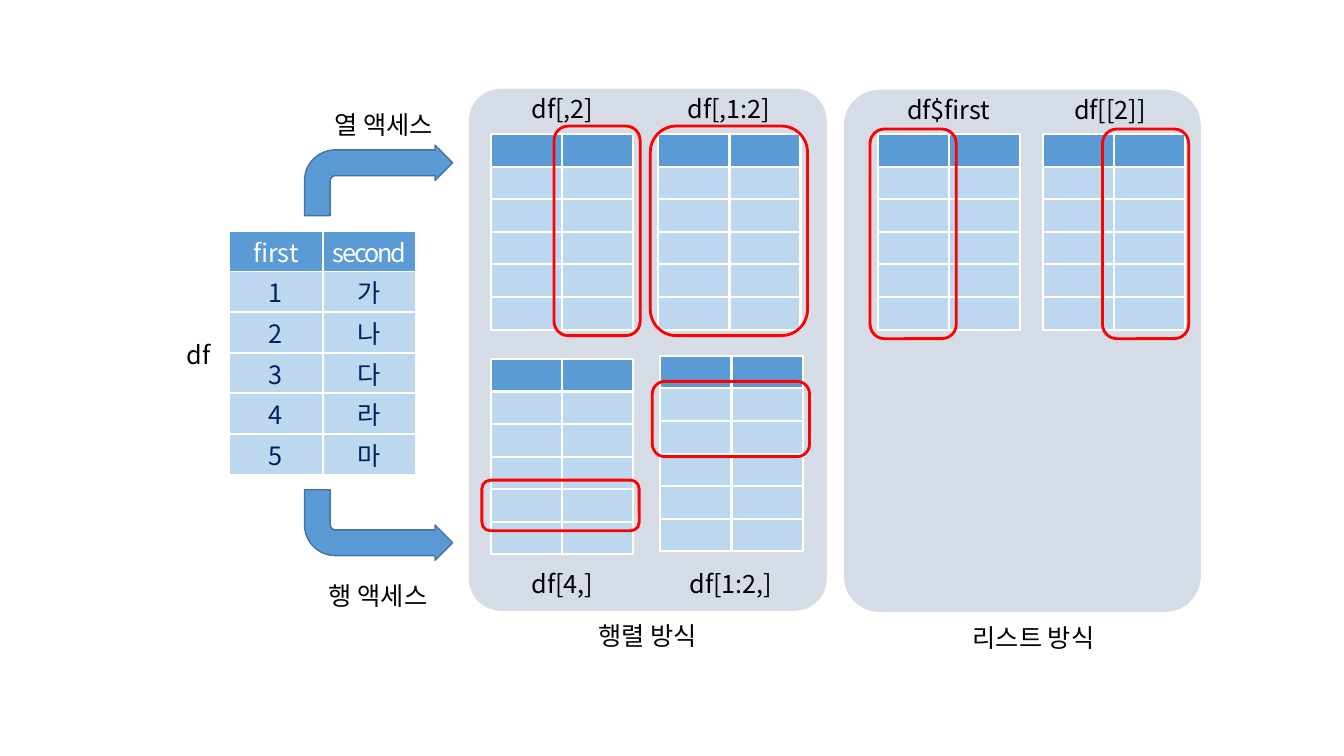
from dataclasses import dataclass

from lxml import etree
from pptx import Presentation
from pptx.dml.color import RGBColor
from pptx.enum import shapes, text
from pptx.oxml.ns import qn
from pptx.util import Inches, Pt


@dataclass(frozen=True)
class Theme:
    font: str = "Noto Sans CJK KR"
    size: float = 18
    header: str = "5B9BD5"
    body: str = "BDD7EE"
    arrow_line: str = "43739E"
    panel: str = "D6DCE5"
    highlight: str = "FF0000"
    white: str = "FFFFFF"
    navy: str = "002060"
    black: str = "000000"
    grid_line: float = 1.5
    highlight_line: float = 2


@dataclass(frozen=True)
class View:
    """One small grid: its offset in the panel and the cells it selects."""
    label: str
    left: float
    top: float
    label_top: float
    columns: tuple
    rows: tuple
    pads: tuple  # left, above, right and below the selected cells
    label_inset: float = 0.13


THEME = Theme()
GRID_WIDTH, GRID_HEIGHT = 1.41, 1.94
GRID_COLUMNS, GRID_ROWS = 2, 6
BOTH, ALL = (0, 2), (0, 6)

DATA = [("first", "second"), ("1", "가"), ("2", "나"), ("3", "다"), ("4", "라"), ("5", "마")]

MATRIX_VIEWS = [
    View("df[,2]", 0.22, 0.45, 0, (1, 2), ALL, (0.08, 0.08, 0.07, 0.06), 0.14),
    View("df[4,]", 0.22, 2.68, 4.71, BOTH, (4, 5), (0.09, 0.09, 0.06, 0.09), 0.14),
    View("df[,1:2]", 1.88, 0.45, 0, BOTH, ALL, (0.08, 0.08, 0.07, 0.06)),
    View("df[1:2,]", 1.9, 2.65, 4.71, BOTH, (1, 3), (0.08, 0.07, 0.07, 0.03)),
]
LIST_VIEWS = [
    View("df$first", 0.34, 0.44, 0, (0, 1), ALL, (0.08, 0.05, 0.07, 0.09)),
    View("df[[2]]", 1.97, 0.44, 0, (1, 2), ALL, (0.11, 0.05, 0.04, 0.09), 0.1),
]


def write(frame, content, color=THEME.black, spacing=None):
    paragraph = frame.paragraphs[0]
    paragraph.alignment = text.PP_ALIGN.CENTER
    run = paragraph.add_run()
    run.text = content
    run.font.size = Pt(THEME.size)
    run.font.color.rgb = RGBColor.from_string(color)
    run.font.name = THEME.font
    properties = run._r.get_or_add_rPr()
    etree.SubElement(properties, qn("a:ea"), typeface=THEME.font)
    if spacing is not None:
        properties.set("spc", str(round(spacing * 100)))


def add_label(parent, content, left, top, width):
    box = parent.add_textbox(*map(Inches, (left, top, width, 0.4)))
    box.text_frame.word_wrap = True
    box.text_frame.auto_size = text.MSO_AUTO_SIZE.SHAPE_TO_FIT_TEXT
    write(box.text_frame, content)


def add_figure(parent, kind, box, fill=None, line=None, line_width=1, adjustments=()):
    shape = parent.add_shape(kind, *map(Inches, box))
    shape.shadow.inherit = False
    if fill:
        shape.fill.solid()
        shape.fill.fore_color.rgb = RGBColor.from_string(fill)
    else:
        shape.fill.background()
    if line:
        shape.line.color.rgb = RGBColor.from_string(line)
        shape.line.width = Pt(line_width)
    else:
        shape.line.fill.background()
    for index, value in enumerate(adjustments):
        shape.adjustments[index] = value
    return shape


def add_cell_borders(cell):
    properties = cell._tc.get_or_add_tcPr()
    for position, side in enumerate(("lnL", "lnR", "lnT", "lnB")):
        line = etree.Element(qn(f"a:{side}"), w=str(Pt(THEME.grid_line)))
        fill = etree.SubElement(line, qn("a:solidFill"))
        etree.SubElement(fill, qn("a:srgbClr"), val=THEME.white)
        properties.insert(position, line)


def add_data_table(slide, left, top, width, height):
    frame = slide.shapes.add_table(
        len(DATA), len(DATA[0]), *map(Inches, (left, top, width, height)))
    for row, values in enumerate(DATA):
        for column, value in enumerate(values):
            cell = frame.table.cell(row, column)
            cell.margin_top = cell.margin_bottom = 0
            cell.margin_left = cell.margin_right = 0
            cell.vertical_anchor = text.MSO_ANCHOR.MIDDLE
            cell.fill.solid()
            cell.fill.fore_color.rgb = RGBColor.from_string(THEME.body if row else THEME.header)
            add_cell_borders(cell)
            write(cell.text_frame, value, color=THEME.navy if row else THEME.white,
                  spacing=-1.5 if value == "second" else None)


def add_source(slide, left, top):
    """The data frame with its name and the two access arrows."""
    add_data_table(slide, left, top, 1.86, 2.42)
    add_label(slide.shapes, "df", left - 0.62, top + 1.03, 0.64)
    for arrow_top, flipped in ((top - 0.85, False), (top + 2.57, True)):
        arrow = add_figure(slide.shapes, shapes.MSO_SHAPE.BENT_ARROW,
                           (left + 0.75, arrow_top, 1.47, 0.7), THEME.header,
                           THEME.arrow_line, adjustments=(0.365, 0.25, 0.25, 0.438))
        if flipped:
            arrow._element.spPr.xfrm.set("flipV", "1")
    add_label(slide.shapes, "열 액세스", left + 0.58, top - 1.25, 1.91)
    add_label(slide.shapes, "행 액세스", left + 0.64, top + 3.42, 1.68)


def add_view(parent, view, panel_left, panel_top):
    left, top = panel_left + view.left, panel_top + view.top
    cell_width, cell_height = GRID_WIDTH / GRID_COLUMNS, GRID_HEIGHT / GRID_ROWS
    add_label(parent, view.label, left + view.label_inset, panel_top + view.label_top, 1.14)
    for row in range(GRID_ROWS):
        for column in range(GRID_COLUMNS):
            add_figure(parent, shapes.MSO_SHAPE.RECTANGLE,
                       (left + column * cell_width, top + row * cell_height,
                        cell_width, cell_height),
                       THEME.body if row else THEME.header, THEME.white, THEME.grid_line)
    (first_column, end_column), (first_row, end_row) = view.columns, view.rows
    before, above, after, below = view.pads
    add_figure(parent, shapes.MSO_SHAPE.ROUNDED_RECTANGLE,
               (left + first_column * cell_width - before,
                top + first_row * cell_height - above,
                (end_column - first_column) * cell_width + before + after,
                (end_row - first_row) * cell_height + above + below),
               line=THEME.highlight, line_width=THEME.highlight_line)


def add_panel(slide, box, caption, caption_inset, views, rounding):
    left, top, _, height = box
    group = slide.shapes.add_group_shape().shapes
    add_figure(group, shapes.MSO_SHAPE.ROUNDED_RECTANGLE, box, THEME.panel,
               adjustments=(rounding,))
    for view in views:
        add_view(group, view, left, top)
    add_label(group, caption, left + caption_inset, top + height + 0.05, 1.68)


def main():
    presentation = Presentation()
    presentation.slide_width, presentation.slide_height = Inches(13.33), Inches(7.5)
    slide = presentation.slides.add_slide(presentation.slide_layouts.get_by_name("Blank"))
    add_source(slide, 2.27, 2.29)
    add_panel(slide, (4.65, 0.88, 3.55, 5.18), "행렬 방식", 0.93, MATRIX_VIEWS, 0.09)
    add_panel(slide, (8.37, 0.89, 3.54, 5.18), "리스트 방식", 1.04, LIST_VIEWS, 0.1)
    presentation.save("out.pptx")


if __name__ == "__main__":
    main()
